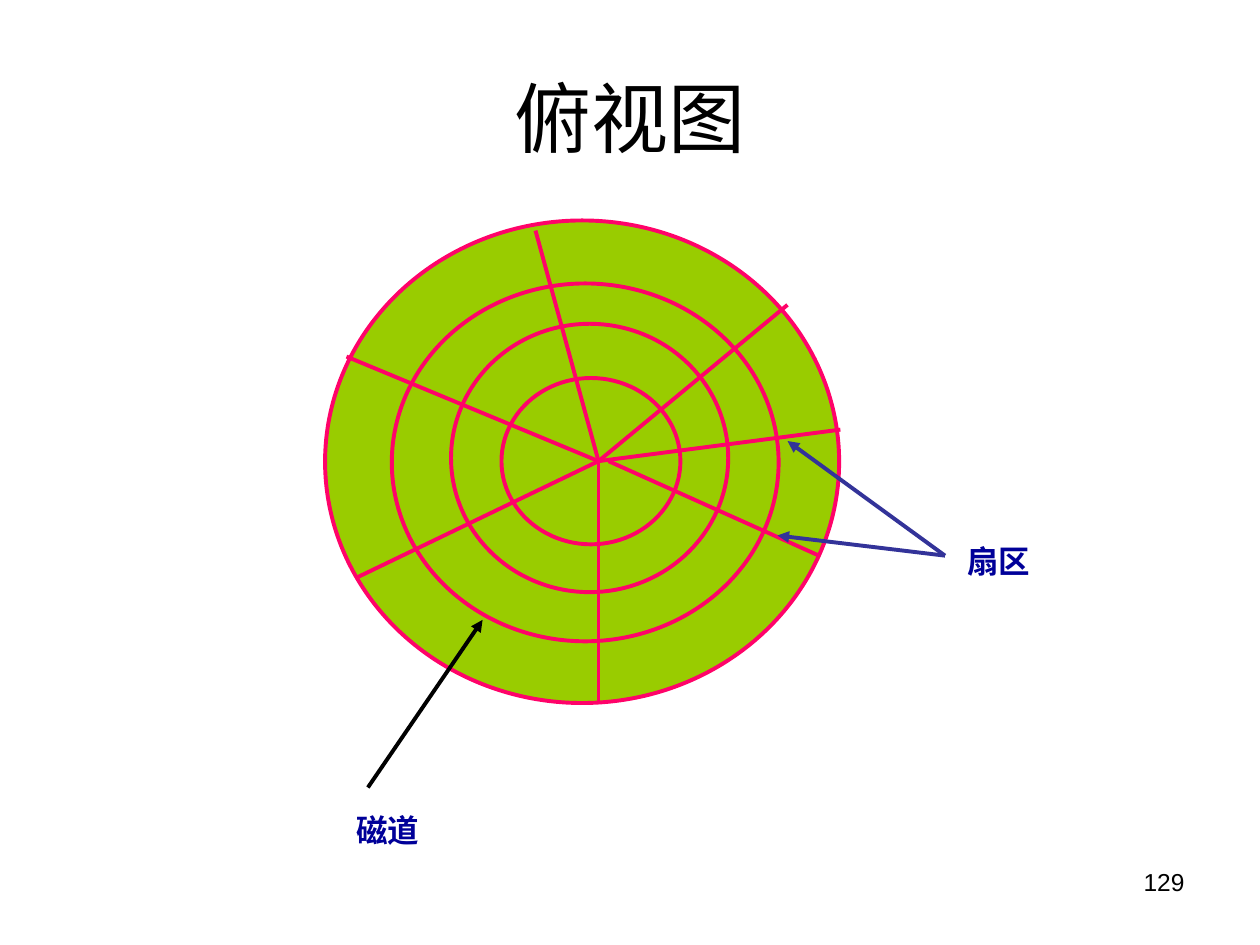
from lxml import etree
from pptx import Presentation
from pptx.dml.color import RGBColor
from pptx.enum.shapes import MSO_CONNECTOR, MSO_SHAPE
from pptx.enum.text import MSO_ANCHOR, PP_ALIGN
from pptx.oxml.ns import qn
from pptx.util import Inches, Pt

STRAIGHT = MSO_CONNECTOR.STRAIGHT
OVAL = MSO_SHAPE.OVAL
TOP, MIDDLE = MSO_ANCHOR.TOP, MSO_ANCHOR.MIDDLE
LEFT, CENTER, RIGHT = PP_ALIGN.LEFT, PP_ALIGN.CENTER, PP_ALIGN.RIGHT

BLACK = RGBColor(0x00, 0x00, 0x00)
GREEN = RGBColor(0x99, 0xCC, 0x00)
PINK = RGBColor(0xFF, 0x03, 0x69)
NAVY = RGBColor(0x00, 0x00, 0x99)
INDIGO = RGBColor(0x33, 0x33, 0x99)

TITLE_ONLY = 5
DISK_CENTER = (4.75, 3.66)
TRACKS = [
    (2.58, 1.75, 4.08, 3.83),
    (3.11, 2.25, 3.07, 2.84),
    (3.58, 2.57, 2.2, 2.13),
    (3.98, 3, 1.42, 1.32),
]
SECTOR_ENDS = [(6.25, 2.42), (4.75, 5.58), (2.84, 4.58),
               (4.25, 1.83), (2.75, 2.83), (6.67, 3.41)]


class DiskSlide:
    font_name = "Arial"
    line_width = Pt(2.25)

    def __init__(self, page):
        self.page = page

    def set_text(self, box, text, size, color, align, anchor, bold=False):
        frame = box.text_frame
        frame.word_wrap = True
        frame.vertical_anchor = anchor
        para = frame.paragraphs[0]
        para.text = text
        para.alignment = align
        para.font.name = self.font_name
        para.font.size = Pt(size)
        para.font.bold = bold
        para.font.color.rgb = color

    def title(self, text, left, top, width, height):
        box = self.page.shapes.title
        box.left, box.top = Inches(left), Inches(top)
        box.width, box.height = Inches(width), Inches(height)
        self.set_text(box, text, 44, BLACK, CENTER, MIDDLE)

    def text(self, text, bounds, size, color, align=LEFT, anchor=MIDDLE, bold=False):
        box = self.page.shapes.add_textbox(*map(Inches, bounds))
        self.set_text(box, text, size, color, align, anchor, bold)

    def track(self, bounds):
        shape = self.page.shapes.add_shape(OVAL, *map(Inches, bounds))
        shape.shadow.inherit = False
        shape.fill.solid()
        shape.fill.fore_color.rgb = GREEN
        shape.line.color.rgb = PINK
        shape.line.width = self.line_width

    def line(self, start, end, color, arrow=False):
        connector = self.page.shapes.add_connector(
            STRAIGHT, *map(Inches, start + end))
        connector.line.color.rgb = color
        connector.line.width = self.line_width
        properties = connector._element.spPr
        if arrow:
            outline = properties.find(qn("a:ln"))
            etree.SubElement(outline, qn("a:tailEnd"), type="triangle")
        etree.SubElement(properties, qn("a:effectLst"))


def main():
    deck = Presentation()
    deck.slide_width, deck.slide_height = Inches(10), Inches(7.5)
    disk = DiskSlide(deck.slides.add_slide(deck.slide_layouts[TITLE_ONLY]))

    disk.title("俯视图", 0.5, 0.3, 9, 1.25)
    disk.text("129", (7.17, 6.83, 2.33, 0.52), 14, BLACK, RIGHT, TOP)

    for bounds in TRACKS:
        disk.track(bounds)
    for end in SECTOR_ENDS:
        disk.line(DISK_CENTER, end, PINK)
    disk.line((4.83, 3.66), (6.5, 4.41), PINK)

    disk.line((2.92, 6.25), (3.83, 4.92), BLACK, arrow=True)
    disk.text("磁道", (2.73, 6.27, 1.09, 0.63), 18, NAVY, bold=True)

    for target in [(6.25, 3.5), (6.17, 4.25)]:
        disk.line((7.5, 4.41), target, INDIGO, arrow=True)
    disk.text("扇区", (7.58, 4.14, 1.09, 0.63), 18, NAVY, bold=True)

    deck.save("out.pptx")


if __name__ == "__main__":
    main()
